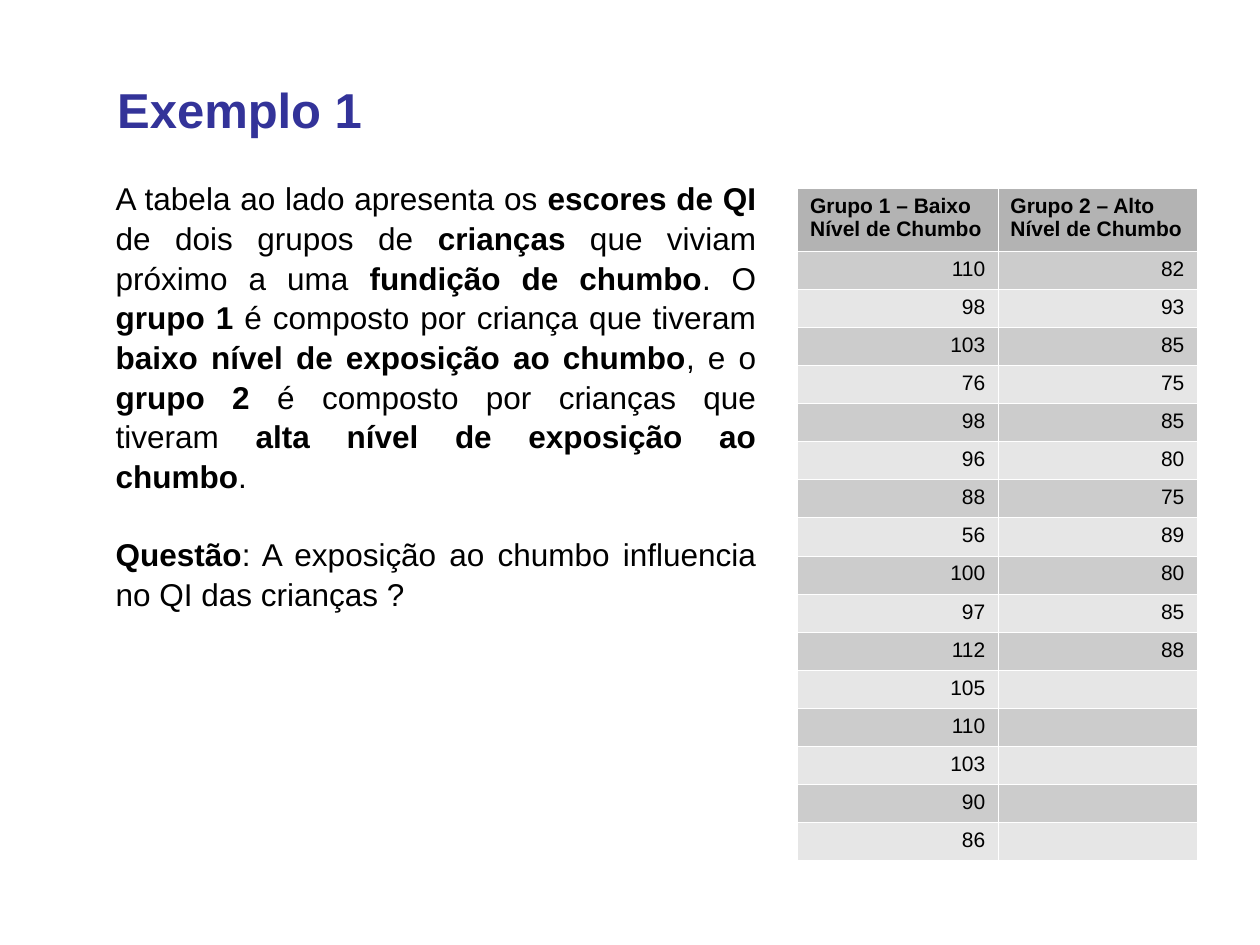
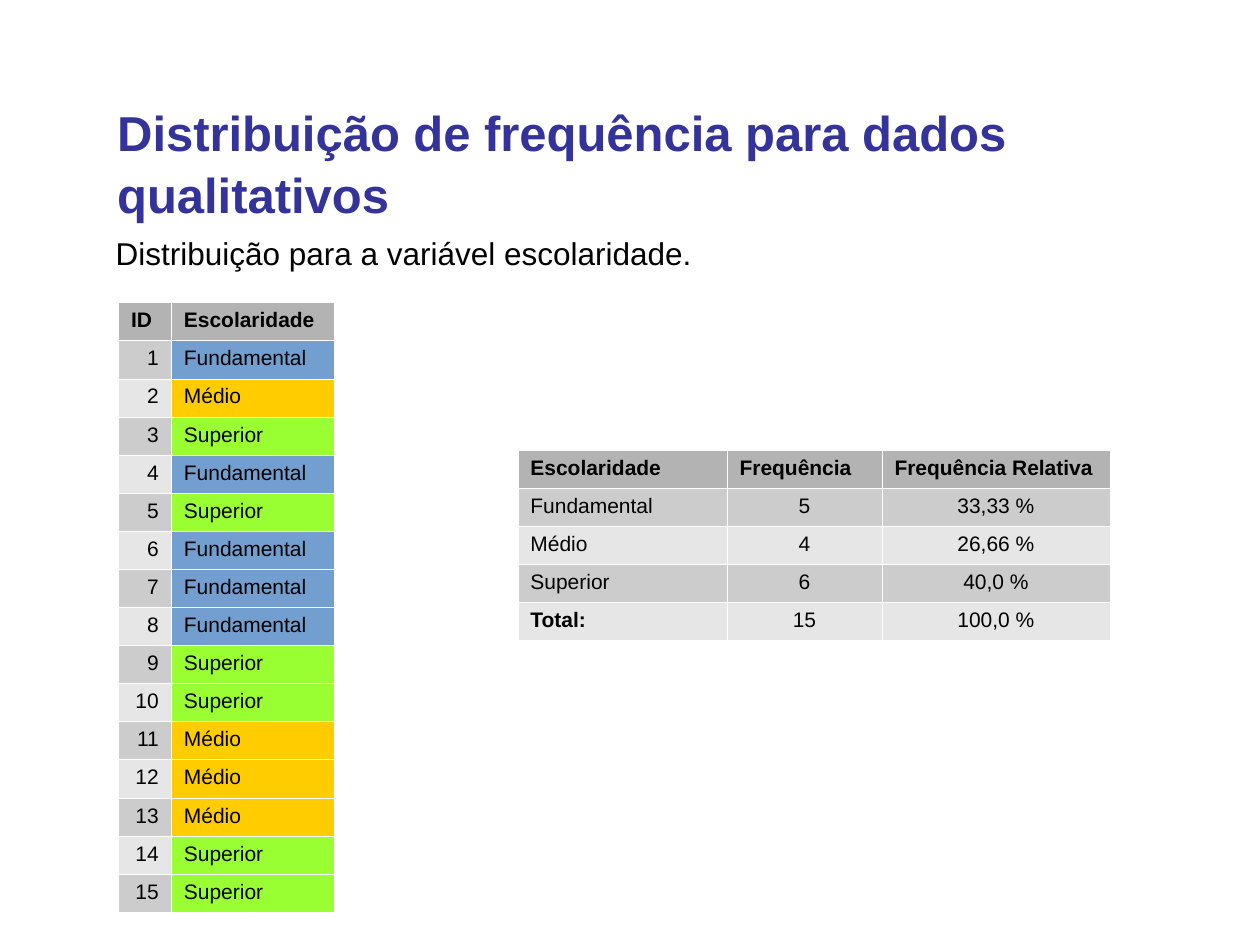
from itertools import zip_longest

from lxml import etree
from pptx import Presentation
from pptx import util as u
from pptx.dml.color import RGBColor
from pptx.enum import text
from pptx.oxml import ns

COLORS = {
    "title": "333399",
    "text": "000000",
    "border": "FFFFFF",
    "header": "B3B3B3",
    "odd": "CCCCCC",
    "even": "E6E6E6",
    "Fundamental": "729FCF",
    "Médio": "FFCC00",
    "Superior": "99FF33",
}
LEFT, CENTER, RIGHT, JUSTIFY = (
    text.PP_ALIGN.LEFT, text.PP_ALIGN.CENTER, text.PP_ALIGN.RIGHT, text.PP_ALIGN.JUSTIFY)


class Deck:
    """Shared style and the current slide."""

    font = "Arial"
    line_spacing = 1.05
    title_size, body_size, table_size = 28, 18, 12

    def __init__(self):
        self.prs = Presentation()
        self.prs.slide_width = u.Inches(10)
        self.prs.slide_height = u.Inches(7.5)
        self.s = None

    def style(self, p, size, color="text", bold=None):
        for r in p.runs:
            r.font.name = self.font
            r.font.size = u.Pt(size)
            r.font.color.rgb = RGBColor.from_string(COLORS[color])
            if bold is not None:
                r.font.bold = bold

    def add_slide(self, title, top):
        self.s = self.prs.slides.add_slide(self.prs.slide_layouts[5])
        sp = self.s.shapes.title
        sp.left, sp.top = u.Inches(0.83), u.Inches(top)
        sp.width, sp.height = u.Inches(8.51), u.Inches(0.63)
        tf = sp.text_frame
        tf.text = title
        tf.word_wrap = True
        tf.auto_size = text.MSO_AUTO_SIZE.NONE
        tf.vertical_anchor = text.MSO_ANCHOR.TOP
        p = tf.paragraphs[0]
        p.alignment = LEFT
        p.line_spacing = self.line_spacing
        self.style(p, self.title_size, "title", True)

    def add_body(self, paragraphs, top, width, height, align=LEFT):
        """Add body text; ** switches bold on and off."""
        sp = self.s.shapes.add_textbox(
            u.Inches(0.82), u.Inches(top), u.Inches(width), u.Inches(height))
        tf = sp.text_frame
        tf.word_wrap = True
        for i, content in enumerate(paragraphs):
            p = tf.add_paragraph() if i else tf.paragraphs[0]
            p.alignment = align
            p.line_spacing = self.line_spacing
            if i:
                p.space_before = u.Pt(21.7)
            for j, part in enumerate(content.split("**")):
                if part:
                    r = p.add_run()
                    r.text = part
                    r.font.bold = j % 2 == 1
            self.style(p, self.body_size)

    def add_table(self, rows, left, top, widths, height, aligns,
                  header_height=None, color_by_value=False):
        """Add a banded table; rows below a taller header share the rest."""
        header_height = header_height or height / len(rows)
        row_height = (height - header_height) / (len(rows) - 1)
        table = self.s.shapes.add_table(
            len(rows), len(widths), u.Inches(left), u.Inches(top),
            u.Inches(sum(widths)), u.Inches(height)).table
        table.first_row = table.horz_banding = False
        for column, width in zip(table.columns, widths):
            column.width = u.Inches(width)
        for i, values in enumerate(rows):
            table.rows[i].height = u.Inches(row_height if i else header_height)
            band = "header" if i == 0 else "odd" if i % 2 else "even"
            for j, value in enumerate(values):
                fill = value if color_by_value and value in COLORS else band
                bold = i == 0 or value == "Total:"
                self.fill_cell(table.cell(i, j), value, fill,
                               aligns[j] if i else LEFT, bold)

    def fill_cell(self, cell, value, fill, align, bold):
        cell.text = str(value)
        cell.margin_left = cell.margin_right = u.Inches(0.1)
        cell.margin_top = cell.margin_bottom = u.Inches(0.05)
        for p in cell.text_frame.paragraphs:
            p.alignment = align
            self.style(p, self.table_size, bold=bold)
            if not p.runs:
                etree.SubElement(p._p, ns.qn("a:endParaRPr"),
                                 sz=str(self.table_size * 100))
        tc_pr = cell._tc.get_or_add_tcPr()
        for side in ("lnL", "lnR", "lnT", "lnB"):
            ln = etree.SubElement(tc_pr, ns.qn("a:" + side), w=str(u.Pt(0.06)))
            line_fill = etree.SubElement(ln, ns.qn("a:solidFill"))
            etree.SubElement(line_fill, ns.qn("a:srgbClr"), val=COLORS["border"])
        cell.fill.solid()
        cell.fill.fore_color.rgb = RGBColor.from_string(COLORS[fill])


def iq_slide(deck):
    deck.add_slide("Exemplo 1", 0.56)
    deck.add_body([
        "A tabela ao lado apresenta os **escores de QI** de dois grupos de "
        "**crianças** que viviam próximo a uma **fundição de chumbo**. O "
        "**grupo 1** é composto por criança que tiveram "
        "**baixo nível de exposição ao chumbo**, e o **grupo 2** é composto por "
        "crianças que tiveram **alta nível de exposição ao chumbo**.",
        "**Questão**: A exposição ao chumbo influencia no QI das crianças ?",
    ], 1.36, 5.28, 3.4, JUSTIFY)

    # IQ scores of both groups
    low_lead = [110, 98, 103, 76, 98, 96, 88, 56, 100, 97, 112, 105, 110, 103, 90, 86]
    high_lead = [82, 93, 85, 75, 85, 80, 75, 89, 80, 85, 88]
    header = ("Grupo 1 – Baixo\nNível de Chumbo", "Grupo 2 – Alto\nNível de Chumbo")
    rows = [header, *zip_longest(low_lead, high_lead, fillvalue="")]
    deck.add_table(rows, 6.33, 1.49, [1.59, 1.58], 5.34, [RIGHT, RIGHT],
                   header_height=0.5)


def schooling_slide(deck):
    deck.add_slide("Distribuição de frequência para dados qualitativos", 0.74)
    deck.add_body(["Distribuição para a variável escolaridade."], 1.79, 8.28, 0.44)

    # Raw data, coloured by level
    levels = {"F": "Fundamental", "M": "Médio", "S": "Superior"}
    answers = [levels[key] for key in "FMSFSFFFSSMMMSS"]
    deck.add_table([("ID", "Escolaridade"), *enumerate(answers, 1)],
                   0.94, 2.4, [0.42, 1.29], 4.84, [RIGHT, LEFT],
                   color_by_value=True)

    # Frequency table
    shares = ["33,33 %", "26,66 %", "40,0 %"]
    rows = [("Escolaridade", "Frequência", "Frequência Relativa")]
    rows += [(level, answers.count(level), share)
             for level, share in zip(levels.values(), shares)]
    rows.append(("Total:", len(answers), "100,0 %"))
    deck.add_table(rows, 4.11, 3.57, [1.66, 1.23, 1.81], 1.51,
                   [LEFT, CENTER, CENTER])


def main():
    deck = Deck()
    iq_slide(deck)
    schooling_slide(deck)
    deck.prs.save("out.pptx")


if __name__ == "__main__":
    main()
